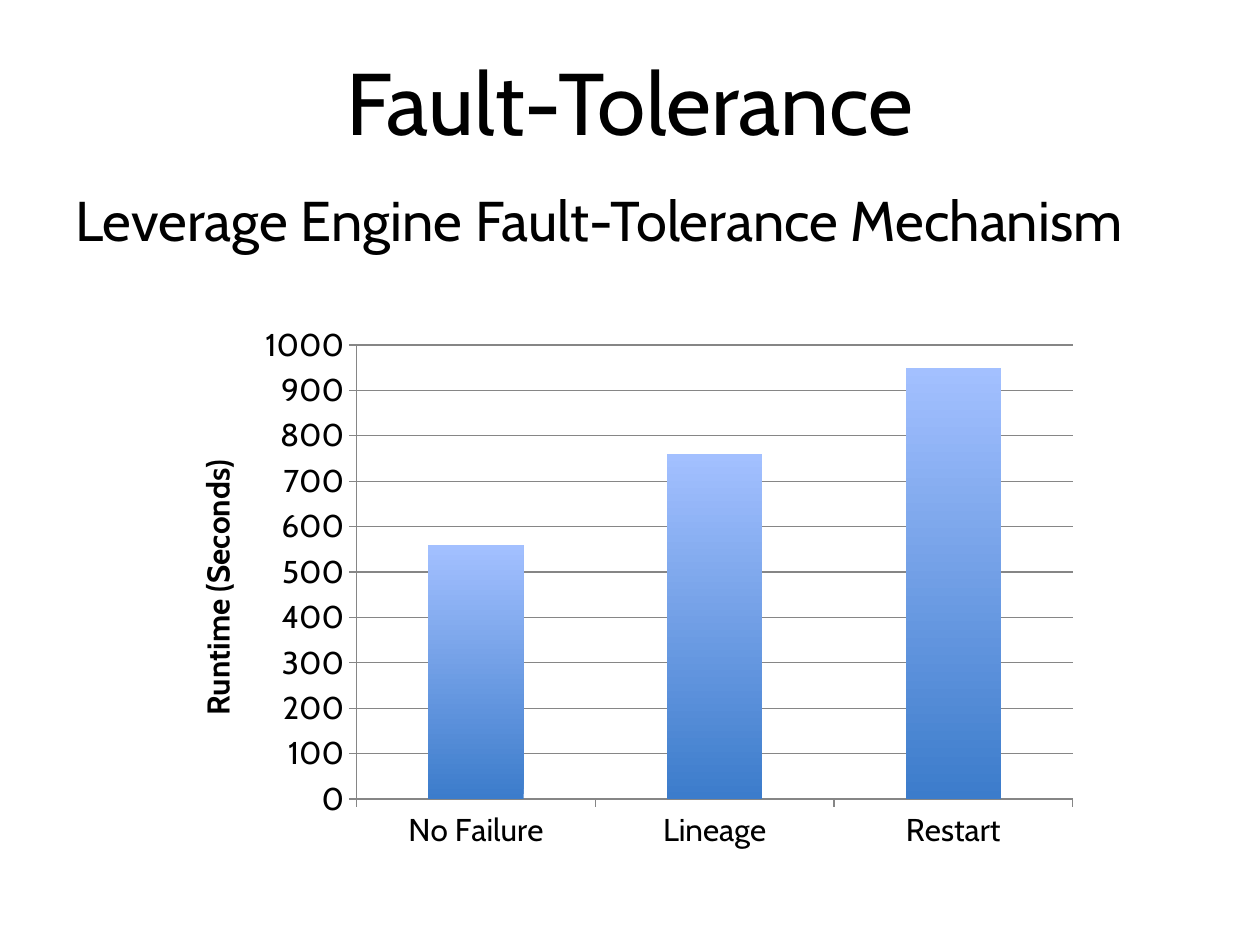
from pptx import Presentation
from pptx.chart.data import CategoryChartData
from pptx.dml.color import RGBColor
from pptx.enum.chart import XL_CHART_TYPE, XL_TICK_MARK
from pptx.enum.text import MSO_ANCHOR, PP_ALIGN
from pptx.util import Inches, Pt

FONT_NAME = "Cabin"
BLACK = RGBColor(0x00, 0x00, 0x00)
AXIS_GRAY = RGBColor(0x86, 0x86, 0x86)
BAR_BOTTOM = RGBColor(0x3C, 0x7C, 0xCB)
BAR_TOP = RGBColor(0xA3, 0xC0, 0xFF)


def style_font(font, size, bold=False):
    font.name = FONT_NAME
    font.size = Pt(size)
    font.bold = bold
    font.color.rgb = BLACK


def add_text(slide, text, top, height, size, alignment, anchor, space_before=0):
    shape = slide.shapes.add_textbox(Inches(0.5), Inches(top), Inches(9), Inches(height))
    text_frame = shape.text_frame
    text_frame.word_wrap = True
    text_frame.vertical_anchor = anchor
    text_frame.text = text
    paragraph = text_frame.paragraphs[0]
    paragraph.alignment = alignment
    paragraph.space_before = Pt(space_before)
    style_font(paragraph.runs[0].font, size)


def style_line(line):
    line.color.rgb = AXIS_GRAY
    line.width = Pt(0.75)


def style_value_axis(axis):
    axis.minimum_scale = 0
    axis.maximum_scale = 1000
    axis.major_unit = 100
    axis.has_major_gridlines = True
    style_line(axis.major_gridlines.format.line)
    text_frame = axis.axis_title.text_frame
    text_frame.text = "Runtime (Seconds)"
    style_font(text_frame.paragraphs[0].runs[0].font, 18, bold=True)


def style_bars(plot):
    plot.gap_width = 150
    plot.vary_by_categories = False
    fill = plot.series[0].format.fill
    fill.gradient()
    fill.gradient_angle = 90
    for stop, color in zip(fill.gradient_stops, (BAR_BOTTOM, BAR_TOP)):
        stop.color.rgb = color


def add_runtime_chart(slide):
    data = CategoryChartData()
    data.categories = ["No Failure", "Lineage", "Restart"]
    data.add_series("Series 1", (560, 760, 950))
    chart = slide.shapes.add_chart(
        XL_CHART_TYPE.COLUMN_CLUSTERED,
        Inches(1.33), Inches(2.5), Inches(7.33), Inches(4.33), data,
    ).chart
    chart.has_legend = False
    chart.has_title = False
    style_font(chart.font, 18)
    for axis in (chart.category_axis, chart.value_axis):
        axis.major_tick_mark = XL_TICK_MARK.OUTSIDE
        axis.minor_tick_mark = XL_TICK_MARK.NONE
        style_line(axis.format.line)
    style_value_axis(chart.value_axis)
    style_bars(chart.plots[0])


def main():
    presentation = Presentation()
    presentation.slide_width = Inches(10)
    presentation.slide_height = Inches(7.5)
    slide = presentation.slides.add_slide(presentation.slide_layouts[6])
    add_text(slide, "Fault-Tolerance", 0.17, 1.25, 50,
             PP_ALIGN.CENTER, MSO_ANCHOR.MIDDLE)
    add_text(slide, "Leverage Engine Fault-Tolerance Mechanism", 1.42, 0.7, 32,
             PP_ALIGN.LEFT, MSO_ANCHOR.TOP, space_before=20)
    add_runtime_chart(slide)
    presentation.save("out.pptx")


if __name__ == "__main__":
    main()
